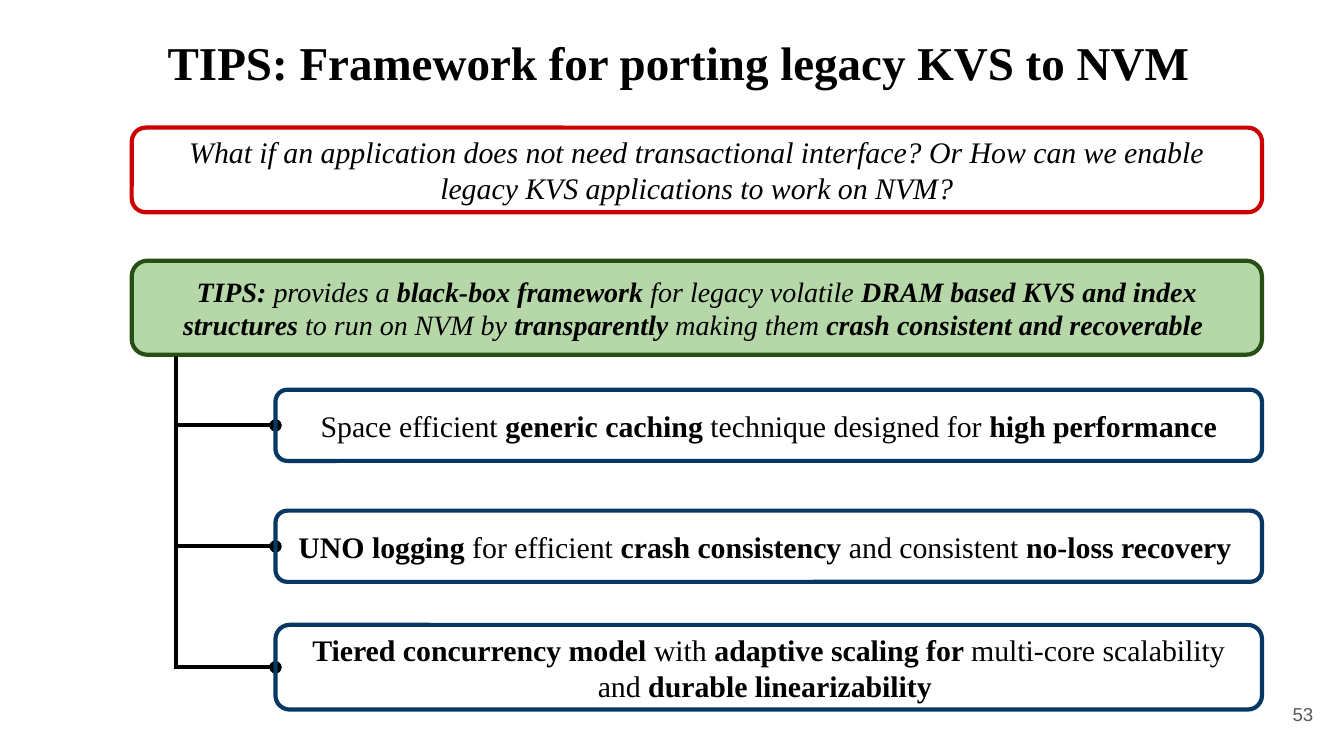
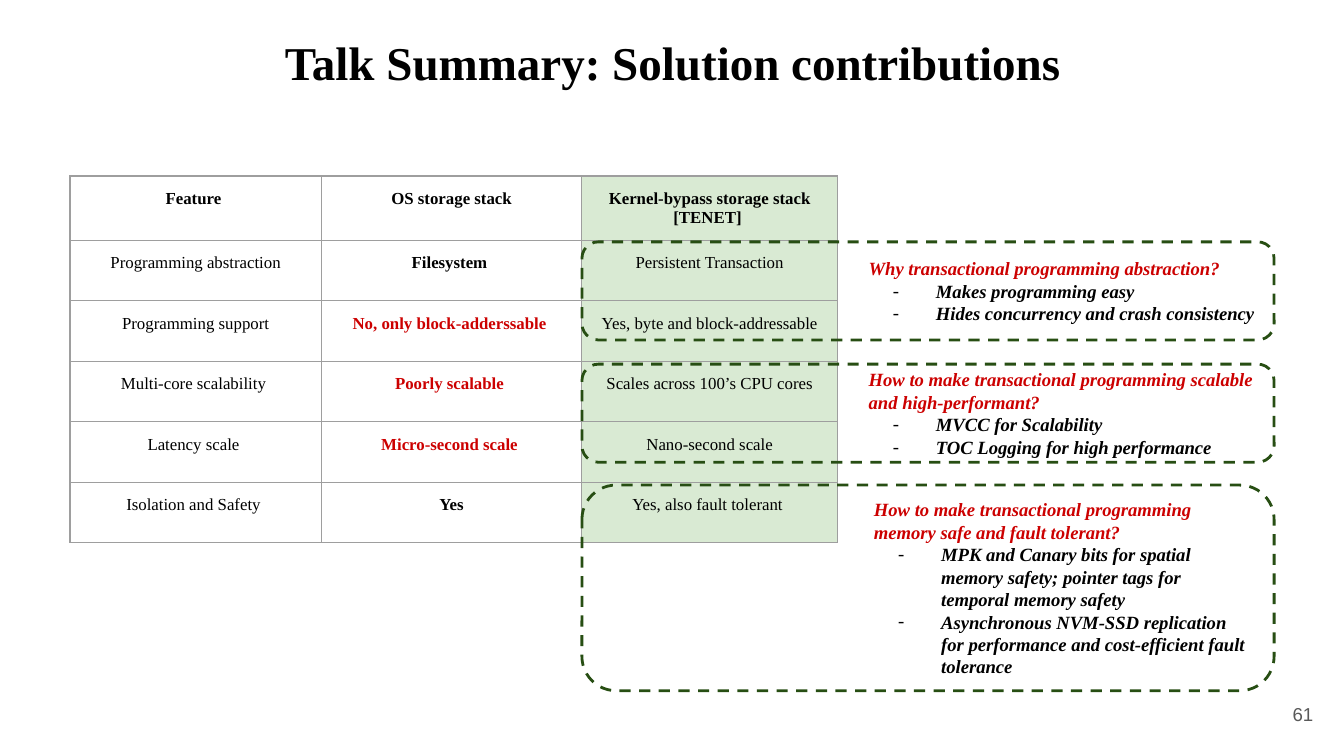
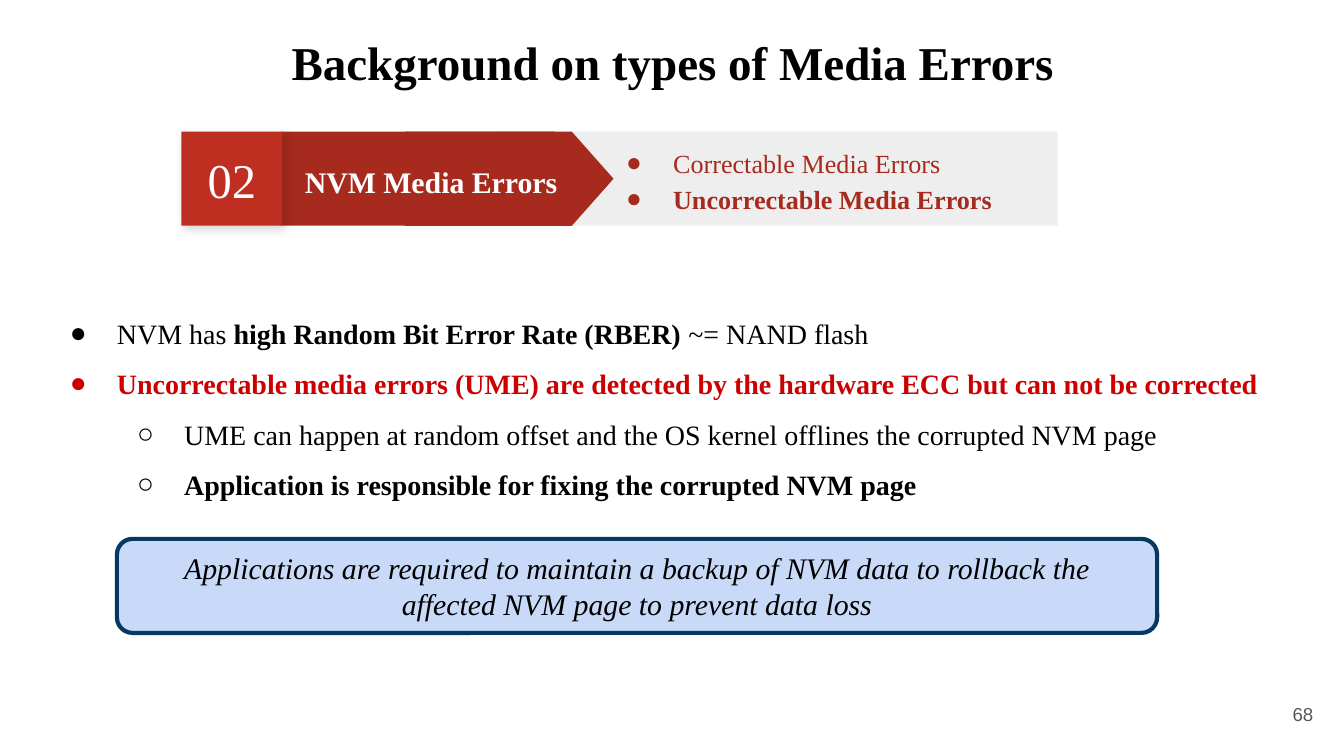
import lxml.etree
import pptx
import pptx.dml.color
import pptx.enum.dml
import pptx.enum.shapes
import pptx.enum.text
import pptx.oxml.ns
import pptx.util

Inches = pptx.util.Inches
Pt = pptx.util.Pt
qn = pptx.oxml.ns.qn
SHAPE = pptx.enum.shapes.MSO_SHAPE
ALIGN = pptx.enum.text.PP_ALIGN
ANCHOR = pptx.enum.text.MSO_ANCHOR
SERIF = "Times New Roman"
COLORS = {
    "black": "000000", "white": "FFFFFF", "number": "595959", "alert": "CC0000",
    "forest": "274E13", "leaf": "B6D7A8", "mint": "D9EAD3", "navy": "073763",
    "sky": "C9DAF8", "grid": "9E9E9E", "silver": "EEEEEE", "brick": "A72A1E",
    "brick_light": "BE2F22",
}

QUESTION = ("What if an application does not need transactional interface? "
            "Or How can we enable legacy KVS applications to work on NVM?")
ANSWER = ("**TIPS: **provides a **black-box framework** for legacy volatile "
          "**DRAM based KVS and index structures** to run on NVM by **transparently** "
          "making them** crash consistent and recoverable **")
TECHNIQUES = [
    (2.9, 0.53, "Space efficient **generic caching** technique designed for **high performance**"),
    (3.8, 0.53, "**UNO logging** for efficient** crash consistency** and consistent "
                "**no-loss recovery **"),
    (4.65, 0.63, "**Tiered concurrency model **with** adaptive scaling for **"
                 "multi-core scalability and** durable linearizability **"),
]
FEATURES = [
    ("**Feature **", "**OS storage stack**", "**Kernel-bypass storage stack**\n**[TENET] **"),
    ("Programming abstraction", "**Filesystem **", "Persistent Transaction"),
    ("Programming support", "**No, only block-adderssable **", "Yes, byte and block-addressable"),
    ("Multi-core scalability ", "**Poorly scalable **", "Scales across 100’s CPU cores"),
    ("Latency scale ", "**Micro-second scale **", "Nano-second scale"),
    ("Isolation and Safety ", "**Yes**", "Yes, also fault tolerant "),
]
ALERT_ROWS = (2, 3, 4)
CALLOUTS = [
    (1.8, 0.73, "Why transactional programming abstraction?",
     ["Makes programming easy", "Hides concurrency and crash consistency"]),
    (2.71, 0.73, "How to make transactional programming scalable and high-performant?",
     ["MVCC for Scalability", "TOC Logging for high performance"]),
    (3.61, 1.53, "How to make transactional programming memory safe and fault tolerant?",
     ["MPK and Canary bits for spatial memory safety; pointer tags for temporal memory safety",
      "Asynchronous NVM-SSD replication for performance and cost-efficient fault tolerance"]),
]
ERROR_TYPES = ["Correctable Media Errors", "**Uncorrectable Media Errors**"]
ERROR_FACTS = [
    (0, "black", "NVM has **high Random Bit Error Rate (RBER) **~= NAND flash"),
    (0, "alert", "**Uncorrectable media errors (UME) are detected by the hardware ECC "
                 "but can not be corrected**"),
    (1, "black", "UME can happen at random offset and the OS kernel offlines the corrupted NVM page"),
    (1, "black", "**Application is responsible for fixing the corrupted NVM page **"),
]
ADVICE = ("Applications are required to maintain a backup of NVM data to rollback the "
          "affected NVM page to prevent data loss")


def rgb(name):
    """Return the named colour."""
    return pptx.dml.color.RGBColor.from_string(COLORS[name])


def add_color(parent, name):
    """Append a solid colour element and return it."""
    return lxml.etree.SubElement(parent, qn("a:srgbClr"), val=COLORS[name])


def place(item, box):
    """Move and size an item to a box given in inches."""
    item.left, item.top, item.width, item.height = map(Inches, box)


def prepare(frame, anchor=ANCHOR.MIDDLE):
    """Give a text frame the shared margins, wrapping and anchor."""
    frame.word_wrap = True
    frame.auto_size = pptx.enum.text.MSO_AUTO_SIZE.NONE
    frame.vertical_anchor = anchor
    frame.margin_left = frame.margin_right = Inches(0.1)
    frame.margin_top = frame.margin_bottom = Inches(0.1)
    return frame


def next_para(frame):
    """Return the empty first paragraph, or a new one."""
    first = frame.paragraphs[0]
    return frame.add_paragraph() if first.runs else first


def write(para, text, size, color="black", align=ALIGN.CENTER, italic=False, font=SERIF):
    """Write text run by run; double asterisks switch bold."""
    para.alignment = align
    for index, part in enumerate(text.split("**")):
        if part:
            span = para.add_run()
            span.text = part
            span.font.name, span.font.size = font, Pt(size)
            span.font.bold, span.font.italic = index % 2 == 1, italic
            span.font.color.rgb = rgb(color)


def indent(para, left, hanging=0, mark=None, size=10, color="black"):
    """Set a paragraph's indents and its bullet."""
    props = para._p.get_or_add_pPr()
    props.set("marL", str(Inches(left)))
    props.set("indent", str(-Inches(hanging)))
    if mark:
        add_color(lxml.etree.SubElement(props, qn("a:buClr")), color)
        lxml.etree.SubElement(props, qn("a:buSzPts"), val=str(size * 100))
        lxml.etree.SubElement(props, qn("a:buFont"), typeface=SERIF)
        lxml.etree.SubElement(props, qn("a:buChar"), char=mark)


def add_text(page, box):
    """Add a text box and return its frame."""
    return prepare(page.shapes.add_textbox(*map(Inches, box)).text_frame)


def add_block(page, kind, box, fill=None, line=None, width=2.25):
    """Add a shape without shadow."""
    block = page.shapes.add_shape(kind, *map(Inches, box))
    block.shadow.inherit = False
    if fill:
        block.fill.solid()
        block.fill.fore_color.rgb = rgb(fill)
    else:
        block.fill.background()
    if line:
        block.line.color.rgb = rgb(line)
        block.line.width = Pt(width)
    else:
        block.line.fill.background()
    prepare(block.text_frame)
    return block


def add_panel(page, box, text, size, line, fill=None, italic=False):
    """Add a rounded panel with centred text."""
    panel = add_block(page, SHAPE.ROUNDED_RECTANGLE, box, fill, line)
    write(panel.text_frame.paragraphs[0], text, size, italic=italic)
    return panel


def add_rule(page, start, end, dot=False):
    """Add a black line, with a round end if asked."""
    rule = page.shapes.add_connector(
        pptx.enum.shapes.MSO_CONNECTOR.STRAIGHT, *map(Inches, start + end))
    rule.line.color.rgb = rgb("black")
    rule.line.width = Pt(2.25)
    if dot:
        lxml.etree.SubElement(rule.line._get_or_add_ln(), qn("a:tailEnd"), type="oval")
    lxml.etree.SubElement(rule._element.spPr, qn("a:effectLst"))
    return rule


def add_page(deck, layout, title, number):
    """Add a slide with its title and slide number."""
    page = deck.slides.add_slide(deck.slide_layouts.get_by_name(layout))
    place(page.shapes.title, (0.3, 0.15, 9.5, 0.63))
    frame = prepare(page.shapes.title.text_frame, ANCHOR.TOP)
    write(frame.paragraphs[0], f"**{title}**", 25.2)
    corner = add_text(page, (9.27, 5.1, 0.6, 0.43))
    write(corner.paragraphs[0], str(number), 10, "number", ALIGN.RIGHT, font="Arial")
    return page


def add_technique_tree(page, left, top, right):
    """Add the trunk and the technique panels that branch from it."""
    trunk_x, panel_x = left + 0.33, left + 1.07
    add_rule(page, (trunk_x, top), (trunk_x, 4.98))
    for panel_top, height, text in TECHNIQUES:
        middle = panel_top + height / 2
        branch = add_rule(page, (trunk_x, middle), (panel_x, middle), dot=True)
        box = (panel_x, panel_top, right - panel_x, height)
        branch.end_connect(add_panel(page, box, text, 16, "navy"), 1)


def add_borders(cell):
    """Draw thin lines on the four sides of a cell."""
    props = cell._tc.get_or_add_tcPr()
    for side in ("lnL", "lnR", "lnT", "lnB"):
        edge = lxml.etree.SubElement(props, qn(f"a:{side}"), w=str(Pt(0.75)))
        add_color(lxml.etree.SubElement(edge, qn("a:solidFill")), "grid")


def add_feature_table(page, left, top):
    """Add the table that compares the storage stacks."""
    widths, heights = [1.87, 1.94, 1.9], [0.34] + [0.45] * 5
    box = (left, top, sum(widths), sum(heights))
    table = page.shapes.add_table(len(heights), len(widths), *map(Inches, box)).table
    table.first_row = table.horz_banding = False
    for column, width in zip(table.columns, widths):
        column.width = Inches(width)
    for row, height in zip(table.rows, heights):
        row.height = Inches(height)
    for r, texts in enumerate(FEATURES):
        for c, text in enumerate(texts):
            cell = table.cell(r, c)
            add_borders(cell)
            cell.margin_left = cell.margin_right = Inches(0.1)
            cell.margin_top = cell.margin_bottom = Inches(0.1)
            if c == 2:
                cell.fill.solid()
                cell.fill.fore_color.rgb = rgb("mint")
            else:
                cell.fill.background()
            color = "alert" if c == 1 and r in ALERT_ROWS else "black"
            for line in text.split("\n"):
                write(next_para(cell.text_frame), line, 9, color)


def add_callout(page, box, question, answers):
    """Add a dashed frame with a question and its answers."""
    callout = add_block(page, SHAPE.ROUNDED_RECTANGLE, box, line="forest", width=1.5)
    callout.line.dash_style = pptx.enum.dml.MSO_LINE.DASH
    heading = callout.text_frame.paragraphs[0]
    indent(heading, 2)
    write(heading, f"**{question}**", 10, "alert", ALIGN.LEFT, italic=True)
    for answer in answers:
        para = callout.text_frame.add_paragraph()
        indent(para, 2.5, 0.32, "-")
        write(para, f"**{answer}**", 10, align=ALIGN.LEFT, italic=True)


def add_shadow(block):
    """Give a block a soft shadow."""
    effects = block._element.spPr.find(qn("a:effectLst"))
    shadow = lxml.etree.SubElement(
        effects, qn("a:outerShdw"), blurRad=str(Pt(5.6)), dist=str(Pt(2.2)),
        dir="2700000", algn="tl", rotWithShape="0")
    lxml.etree.SubElement(add_color(shadow, "black"), qn("a:alpha"), val="17000")


def add_error_banner(page, left, top, height):
    """Add the numbered banner that lists the error types."""
    add_block(page, SHAPE.RECTANGLE, (left + 2.34, top, 4.18, height), "silver")
    add_block(page, SHAPE.RECTANGLE, (left + 0.74, top, 2.04, height), "brick")
    length = 1.55
    arrow_box = (left + 2.09, top + (height - length) / 2, height, length)
    add_block(page, SHAPE.FLOWCHART_OFFPAGE_CONNECTOR, arrow_box, "brick").rotation = 270
    label = add_text(page, (left + 0.82, top + 0.08, 2.12, 0.54)).paragraphs[0]
    label.line_spacing = 1.15
    write(label, "**NVM Media Errors**", 16, "white", ALIGN.LEFT)
    badge = add_block(page, SHAPE.RECTANGLE, (left, top, 0.75, height), "brick_light")
    add_shadow(badge)
    write(badge.text_frame.paragraphs[0], "02", 26, "white")
    types = add_text(page, (left + 3.06, top, 3.25, height))
    for text in ERROR_TYPES:
        para = next_para(types)
        indent(para, 0.5, 0.35, "●", 14, "brick")
        para.line_spacing = 1.15
        write(para, text, 14, "brick", ALIGN.LEFT)


def fill_error_facts(body, box):
    """Place the body and write the bulleted facts."""
    place(body, box)
    frame = prepare(body.text_frame, ANCHOR.TOP)
    for level, color, text in ERROR_FACTS:
        para = next_para(frame)
        para.level = level
        indent(para, 0.5 + 0.5 * level, 0.35, "●○"[level], 15, color)
        para.line_spacing, para.space_before = 1.5, Pt(0)
        write(para, text, 15, color, ALIGN.LEFT)


def build_framework(deck):
    """Build the slide on the porting framework."""
    page = add_page(deck, "Title Only", "TIPS: Framework for porting legacy KVS to NVM", 53)
    left, width = 0.98, 8.41
    add_panel(page, (left, 0.95, width, 0.63), QUESTION, 16, "alert", italic=True)
    add_panel(page, (left, 1.94, width, 0.7), ANSWER, 15, "forest", "leaf", italic=True)
    add_technique_tree(page, left, 2.65, left + width)


def build_summary(deck):
    """Build the slide that sums up the contributions."""
    page = add_page(deck, "Title Only", "Talk Summary: Solution contributions ", 61)
    add_feature_table(page, 0.52, 1.31)
    for top, height, question, answers in CALLOUTS:
        add_callout(page, (4.33, top, 5.15, height), question, answers)


def build_media_errors(deck):
    """Build the slide on media errors."""
    page = add_page(deck, "Title and Content", "Background on types of Media Errors ", 68)
    add_error_banner(page, 1.35, 0.98, 0.7)
    fill_error_facts(page.placeholders[1], (0.27, 2.13, 9.5, 1.59))
    add_panel(page, (0.87, 4.01, 7.74, 0.7), ADVICE, 16, "navy", "sky", italic=True)


def main():
    """Build and save the deck."""
    deck = pptx.Presentation()
    deck.slide_width = Inches(10)
    deck.slide_height = deck.slide_width * 9 // 16
    build_framework(deck)
    build_summary(deck)
    build_media_errors(deck)
    deck.save("out.pptx")


if __name__ == "__main__":
    main()
